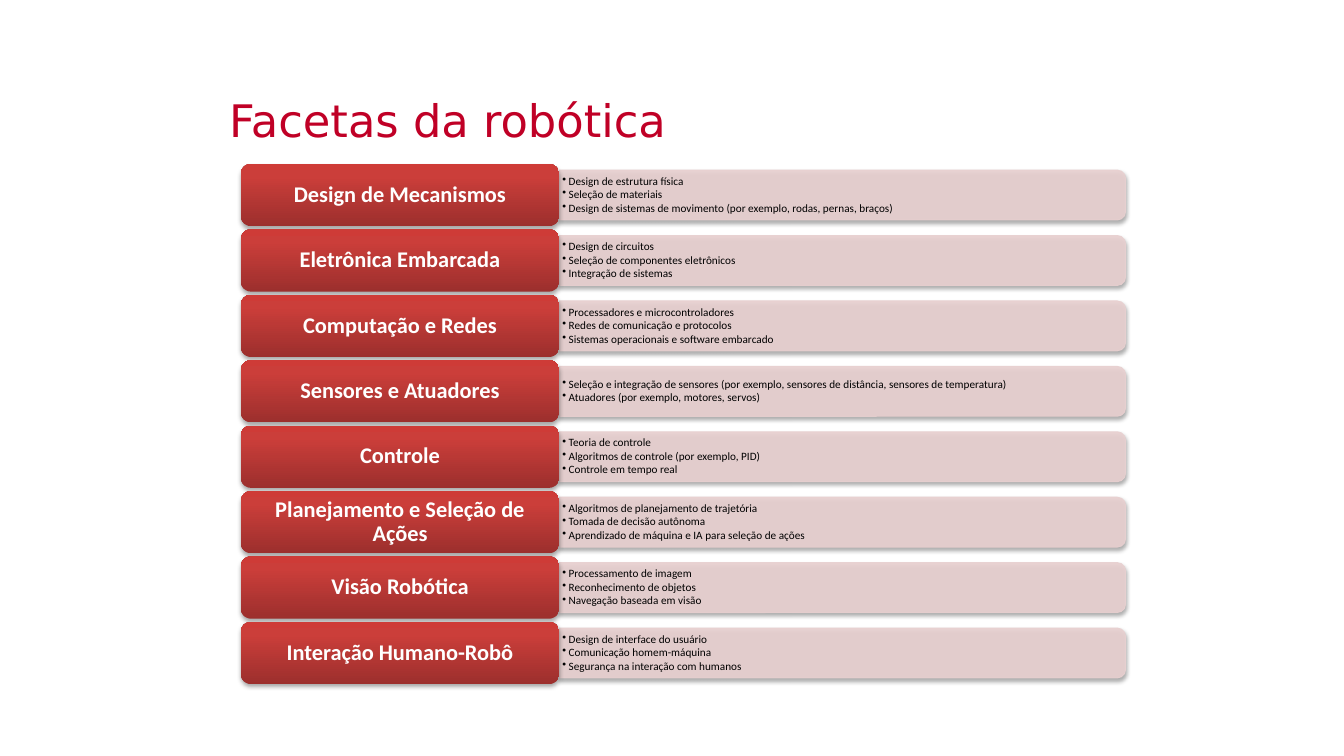
from pptx import Presentation
from pptx.dml.color import RGBColor
from pptx.enum.shapes import MSO_SHAPE as Shape
from pptx.enum.text import MSO_ANCHOR as Anchor, PP_ALIGN as Align
from pptx.oxml import parse_xml
from pptx.oxml.ns import nsdecls, qn
from pptx.oxml.xmlchemy import OxmlElement
from pptx.util import Pt

TITLE = "Facetas da robótica"
FACETS = [
    ("Design de Mecanismos", [
        "Design de estrutura física",
        "Seleção de materiais",
        "Design de sistemas de movimento (por exemplo, rodas, pernas, braços)"]),
    ("Eletrônica Embarcada", [
        "Design de circuitos",
        "Seleção de componentes eletrônicos",
        "Integração de sistemas"]),
    ("Computação e Redes", [
        "Processadores e microcontroladores",
        "Redes de comunicação e protocolos",
        "Sistemas operacionais e software embarcado"]),
    ("Sensores e Atuadores", [
        "Seleção e integração de sensores (por exemplo, sensores de distância, "
        "sensores de temperatura)",
        "Atuadores (por exemplo, motores, servos)"]),
    ("Controle", [
        "Teoria de controle",
        "Algoritmos de controle (por exemplo, PID)",
        "Controle em tempo real"]),
    ("Planejamento e Seleção de Ações", [
        "Algoritmos de planejamento de trajetória",
        "Tomada de decisão autônoma",
        "Aprendizado de máquina e IA para seleção de ações"]),
    ("Visão Robótica", [
        "Processamento de imagem",
        "Reconhecimento de objetos",
        "Navegação baseada em visão"]),
    ("Interação Humano-Robô", [
        "Design de interface do usuário",
        "Comunicação homem-máquina",
        "Segurança na interação com humanos"]),
]

CRIMSON = RGBColor(0xC0, 0x00, 0x26)
PINK = RGBColor(0xE8, 0xD0, 0xD0)
WHITE = RGBColor(0xFF, 0xFF, 0xFF)
BLACK = RGBColor(0x00, 0x00, 0x00)
DARK_RED = RGBColor(0x9C, 0x2F, 0x2D)
RED = RGBColor(0xCB, 0x3E, 0x3A)
BRIGHT_RED = RGBColor(0xCE, 0x3B, 0x37)
RED_STOPS = [(0, DARK_RED), (80, RED), (100, BRIGHT_RED)]

LABEL_LEFT, LABEL_W, LABEL_H = 172, 227.5, 44.5
FIRST_TOP, ROW_PITCH = 117.1, 46.73
BAR_LEFT, BAR_W, BAR_H = LABEL_LEFT + LABEL_W, 404.5, 35.6
DETAIL_W, DETAIL_H = 403, 32.4
BULLET_INDENT = 4.5


def add_shadow(shape):
    shape.shadow.inherit = False
    effects = shape._element.spPr.find(qn("a:effectLst"))
    effects.append(parse_xml(
        f'<a:outerShdw {nsdecls("a")} blurRad="{Pt(3.1)}" dist="{Pt(1.8)}" '
        'dir="5400000" rotWithShape="0"><a:srgbClr val="000000">'
        '<a:alpha val="35000"/></a:srgbClr></a:outerShdw>'))


def fill_upward_gradient(shape, stops):
    marks = "".join(f'<a:gs pos="{percent * 1000}"><a:srgbClr val="{color}"/></a:gs>'
                    for percent, color in stops)
    shape.line.fill.background()
    shape._element.spPr.find(qn("a:ln")).addprevious(parse_xml(
        f'<a:gradFill {nsdecls("a")} rotWithShape="1"><a:gsLst>{marks}</a:gsLst>'
        '<a:lin ang="16200000" scaled="0"/></a:gradFill>'))


def set_frame(frame, side, edge):
    frame.word_wrap = True
    frame.vertical_anchor = Anchor.MIDDLE
    frame.margin_left = frame.margin_right = Pt(side)
    frame.margin_top = frame.margin_bottom = Pt(edge)


def add_text(paragraph, text, size, color, font="Calibri", bold=False):
    run = paragraph.add_run()
    run.text = text
    run.font.name = font
    run.font.size = Pt(size)
    run.font.bold = bold
    run.font.color.rgb = color


def add_bar(shapes, middle):
    """Draw a bar turned so that its rounded corners face right."""
    center = BAR_LEFT + BAR_W / 2
    bar = shapes.add_shape(Shape.ROUND_2_SAME_RECTANGLE, Pt(center - BAR_H / 2),
                           Pt(middle - BAR_W / 2), Pt(BAR_H), Pt(BAR_W))
    bar.rotation = 90
    bar.line.width = Pt(0.75)
    for paint in (bar.fill, bar.line.fill):
        paint.solid()
        paint.fore_color.rgb = PINK
    for color in bar._element.spPr.iter(qn("a:srgbClr")):
        alpha = OxmlElement("a:alpha")
        alpha.set("val", "90000")
        color.append(alpha)
    add_shadow(bar)


def add_details(shapes, middle, details):
    box = shapes.add_textbox(Pt(BAR_LEFT), Pt(middle - DETAIL_H / 2),
                             Pt(DETAIL_W), Pt(DETAIL_H))
    frame = box.text_frame
    set_frame(frame, 2.2, 1.4)
    for i, detail in enumerate(details):
        line = frame.add_paragraph() if i else frame.paragraphs[0]
        line.line_spacing = 0.9
        line.space_after = Pt(1)
        props = line._p.get_or_add_pPr()
        props.set("marL", str(Pt(BULLET_INDENT)))
        props.set("indent", str(-Pt(BULLET_INDENT)))
        bullet = OxmlElement("a:buChar")
        bullet.set("char", "•")
        props.append(bullet)
        add_text(line, detail, 8, BLACK)


def add_label(shapes, top, name):
    label = shapes.add_shape(Shape.ROUNDED_RECTANGLE, Pt(LABEL_LEFT), Pt(top),
                             Pt(LABEL_W), Pt(LABEL_H))
    fill_upward_gradient(label, RED_STOPS)
    add_shadow(label)
    set_frame(label.text_frame, 7, 4.4)
    line = label.text_frame.paragraphs[0]
    line.alignment = Align.CENTER
    line.line_spacing = 0.9
    add_text(line, name, 16, WHITE, bold=True)


def main():
    deck = Presentation()
    deck.slide_width, deck.slide_height = Pt(960), Pt(540)
    slide = deck.slides.add_slide(deck.slide_layouts[5])

    title = slide.shapes.title
    title.left, title.top, title.width, title.height = Pt(156.5), Pt(61), Pt(648), Pt(49)
    set_frame(title.text_frame, 7.2, 3.6)
    heading = title.text_frame.paragraphs[0]
    heading.alignment = Align.LEFT
    add_text(heading, TITLE, 32, CRIMSON, font="DejaVu Sans")

    for row, (name, details) in enumerate(FACETS):
        top = FIRST_TOP + row * ROW_PITCH
        middle = top + LABEL_H / 2
        add_bar(slide.shapes, middle)
        add_details(slide.shapes, middle, details)
        add_label(slide.shapes, top, name)

    deck.save("out.pptx")


if __name__ == "__main__":
    main()
